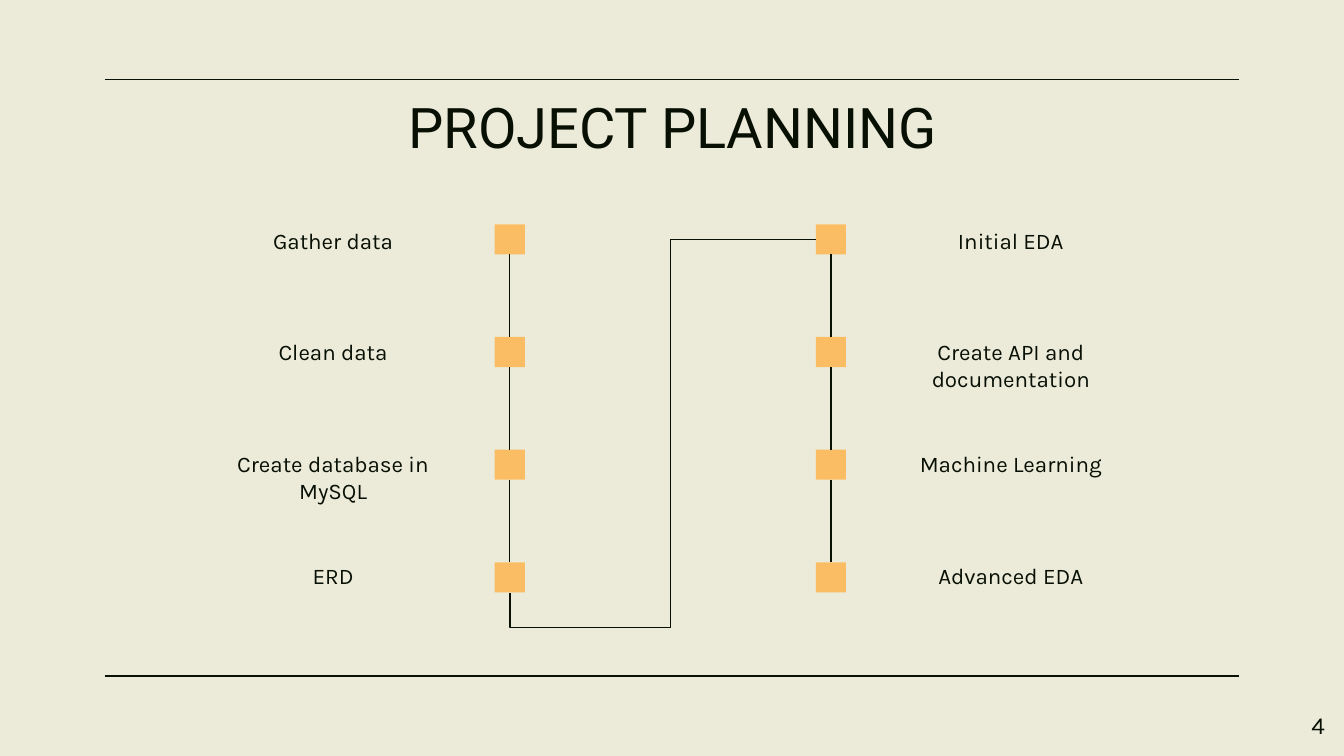
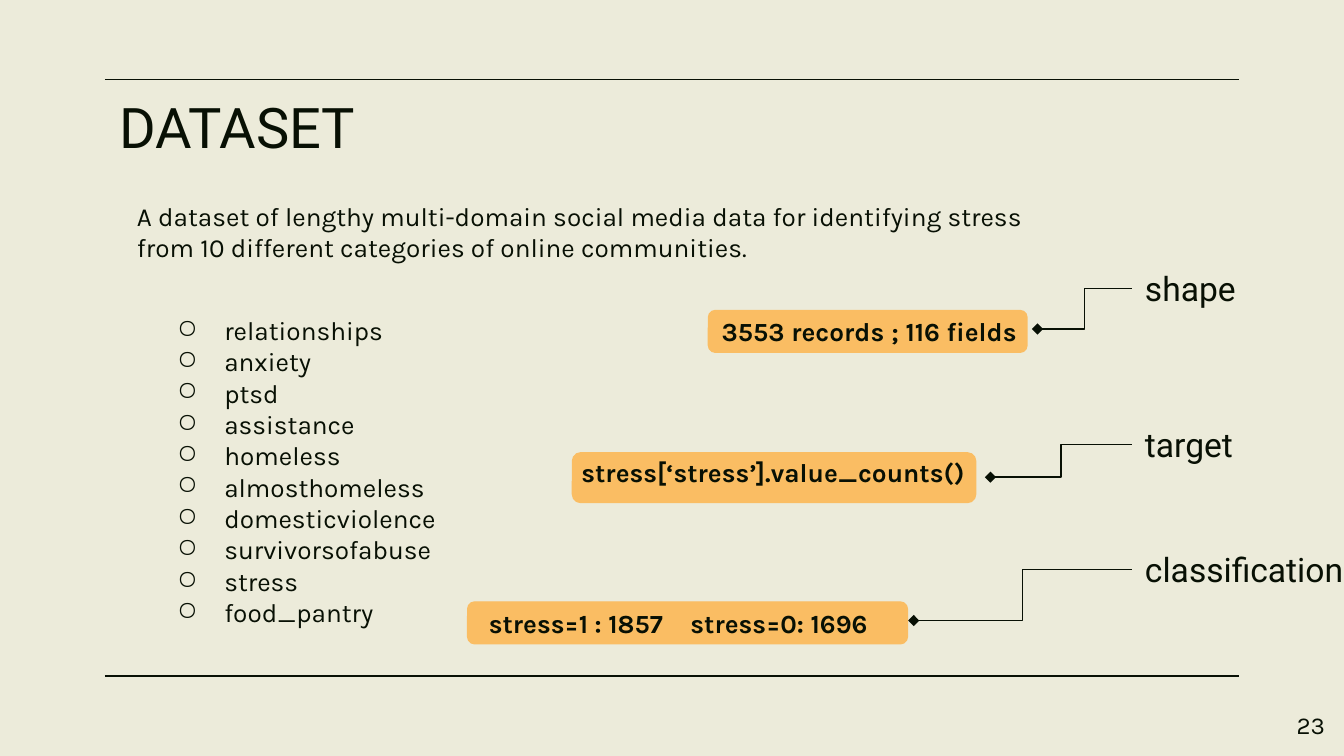
from lxml.etree import SubElement
from pptx import Presentation
from pptx.dml.color import RGBColor
from pptx.enum.shapes import MSO_CONNECTOR, MSO_SHAPE
from pptx.enum.text import MSO_ANCHOR, PP_ALIGN
from pptx.oxml.ns import qn
from pptx.util import Cm, Pt

COLORS = {"background": "ECEBDA", "ink": "081004", "accent": "FABD63"}
BODY_FONT, TITLE_FONT = "Karla", "Roboto"
LINE_WIDTH = Pt(0.75)
INSET = Cm(0.25)


def color(name):
    return RGBColor.from_string(COLORS[name])


def add_text(slide, text, left, top, width, height, size=14, font=BODY_FONT,
             bold=False, align=PP_ALIGN.LEFT, anchor=MSO_ANCHOR.TOP,
             indent=0, hanging=0, bullet=None, tab=None):
    """Add a text box with one paragraph per line of text; lengths in cm."""
    box = slide.shapes.add_textbox(Cm(left), Cm(top), Cm(width), Cm(height))
    frame = box.text_frame
    frame.word_wrap = True
    frame.vertical_anchor = anchor
    frame.margin_left = frame.margin_right = INSET
    frame.margin_top = frame.margin_bottom = INSET
    for index, line in enumerate(text.split("\n")):
        paragraph = frame.add_paragraph() if index else frame.paragraphs[0]
        paragraph.text = line
        paragraph.alignment = align
        properties = paragraph._p.get_or_add_pPr()
        if indent:
            properties.set("marL", str(Cm(indent)))
            properties.set("indent", str(Cm(-hanging)))
        if bullet:
            bullet_color = SubElement(properties, qn("a:buClr"))
            SubElement(bullet_color, qn("a:srgbClr"), val=COLORS["ink"])
            SubElement(properties, qn("a:buChar"), char=bullet)
        if tab:
            tabs = SubElement(properties, qn("a:tabLst"))
            SubElement(tabs, qn("a:tab"), pos=str(Cm(tab)), algn="l")
        for run in paragraph.runs:
            run.font.name = font
            run.font.size = Pt(size)
            run.font.bold = bold
            run.font.color.rgb = color("ink")


def add_block(slide, kind, left, top, width, height, outlined=False):
    shape = slide.shapes.add_shape(kind, Cm(left), Cm(top), Cm(width), Cm(height))
    shape.shadow.inherit = False
    shape.fill.solid()
    shape.fill.fore_color.rgb = color("accent")
    if outlined:
        shape.line.color.rgb = color("accent")
        shape.line.width = LINE_WIDTH
    else:
        shape.line.fill.background()
    return shape


def add_line(slide, start=(0, 0), end=(0, 0), kind=MSO_CONNECTOR.STRAIGHT, tail=None):
    connector = slide.shapes.add_connector(kind, *map(Cm, start + end))
    connector.line.color.rgb = color("ink")
    connector.line.width = LINE_WIDTH
    SubElement(connector._element.spPr, qn("a:effectLst"))
    if tail:
        SubElement(connector.line._get_or_add_ln(), qn("a:tailEnd"), type=tail)
    return connector


def join_down(slide, upper, lower):
    connector = add_line(slide)
    connector.begin_connect(upper, 2)
    connector.end_connect(lower, 0)


def join_columns(slide, last, first):
    """Lead from under the last step up to the left side of the first one."""
    connector = add_line(slide, kind=MSO_CONNECTOR.ELBOW)
    connector.begin_connect(last, 2)
    connector.end_connect(first, 1)
    rise = connector.begin_y - connector.end_y
    run = connector.end_x - connector.begin_x
    center_x = (connector.begin_x + connector.end_x) // 2
    center_y = (connector.begin_y + connector.end_y) // 2
    # A quarter turn lets the elbow leave downwards
    properties = connector._element.spPr
    transform = properties.find(qn("a:xfrm"))
    for flip in ("flipH", "flipV"):
        transform.attrib.pop(flip, None)
    transform.set("rot", str(270 * 60000))
    connector.left, connector.top = center_x - rise // 2, center_y - run // 2
    connector.width, connector.height = rise, run
    geometry = properties.find(qn("a:prstGeom"))
    geometry.set("prst", "bentConnector4")
    guides = geometry.get_or_add_avLst()
    for name, value in (("adj1", -9900), ("adj2", 52400)):
        SubElement(guides, qn("a:gd"), name=name, fmla=f"val {value}")


def add_page(presentation, title, number, align=PP_ALIGN.LEFT):
    """Add a slide with its background, rules, title and page number."""
    slide = presentation.slides.add_slide(presentation.slide_layouts[6])
    slide.background.fill.solid()
    slide.background.fill.fore_color.rgb = color("background")
    for y in (1.5, 12.78):
        add_line(slide, (1.98, y), (23.42, y))
    add_text(slide, title, 2.01, 1.5, 21.41, 1.6, size=30, font=TITLE_FONT, align=align)
    add_text(slide, str(number), 23.77, 13.18, 1.52, 1.09, size=13, align=PP_ALIGN.RIGHT)
    return slide


def add_steps(slide, labels, label_left, square_left):
    squares = []
    for row, label in enumerate(labels):
        add_text(slide, label, label_left, 4.04 + 2.11 * row, 5.03, 1.45,
                 size=12, align=PP_ALIGN.CENTER)
        squares.append(add_block(slide, MSO_SHAPE.RECTANGLE, square_left,
                                 4.24 + 2.13 * row, 0.57, 0.57))
    for upper, lower in zip(squares, squares[1:]):
        join_down(slide, upper, lower)
    return squares


def add_callout(slide, label, top, width, pointer, bar):
    left, height = 21.39, 1.24
    add_text(slide, label, left, top, width, height, size=18, font=TITLE_FONT,
             anchor=MSO_ANCHOR.MIDDLE)
    add_line(slide, (left, top + height / 2), pointer, MSO_CONNECTOR.ELBOW, tail="diamond")
    add_block(slide, MSO_SHAPE.ROUNDED_RECTANGLE, *bar, outlined=True)


def build_planning(presentation):
    slide = add_page(presentation, "PROJECT PLANNING", 4, PP_ALIGN.CENTER)
    preparation = add_steps(
        slide, ["Gather data", "Clean data", "Create database in MySQL", "ERD"], 3.78, 9.35)
    analysis = add_steps(
        slide, ["Initial EDA", "Create API and documentation", "Machine Learning",
                "Advanced EDA"], 16.59, 15.42)
    join_columns(slide, preparation[-1], analysis[0])


def build_dataset(presentation):
    slide = add_page(presentation, "DATASET", 23)
    add_text(slide, "A dataset of lengthy multi-domain social media data for identifying "
             "stress from 10 different categories of online communities.",
             2.34, 3.53, 17.27, 1.7)
    # Categories
    categories = ["relationships", "anxiety", "ptsd", "assistance", "homeless",
                  "almosthomeless", "domesticviolence", "survivorsofabuse", "stress",
                  "food_pantry"]
    add_text(slide, "\n".join(categories), 2.72, 5.69, 8.31, 6.5,
             indent=1.27, hanging=0.89, bullet="○")
    # Callouts: label, top, width, pointer tip, bar
    add_callout(slide, "shape", 4.83, 3.84, (19.61, 6.22), (13.39, 5.87, 6.02, 0.79))
    add_callout(slide, "target", 7.78, 3.25, (18.72, 9.02), (10.82, 8.56, 7.62, 0.94))
    add_callout(slide, "classification", 10.14, 4.39, (17.27, 11.73),
                (8.84, 11.38, 8.31, 0.79))
    # Facts on the bars
    add_text(slide, "3553 records ; 116 fields", 13.39, 5.72, 8.31, 1.12, bold=True)
    add_text(slide, "stress[‘stress’].value_counts()", 10.26, 8.38, 8.71, 1.12,
             bold=True, align=PP_ALIGN.CENTER)
    add_text(slide, "stress=1 : 1857\tstress=0: 1696", 7.49, 11.23, 11.13, 1.12,
             bold=True, indent=1.5, tab=5.65)


def main():
    presentation = Presentation()
    presentation.slide_width, presentation.slide_height = Cm(25.4), Cm(14.29)
    build_planning(presentation)
    build_dataset(presentation)
    presentation.save("out.pptx")


if __name__ == "__main__":
    main()
